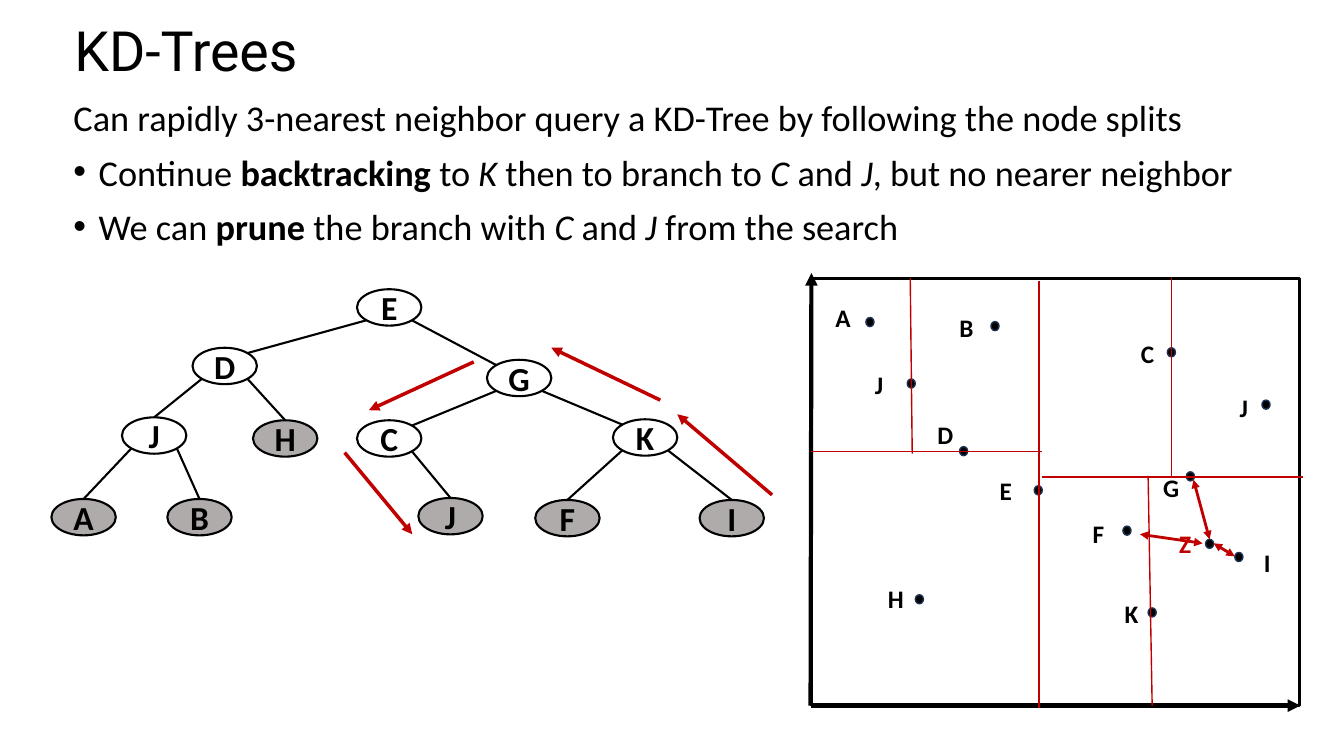
import math
import pptx
import pptx.dml.color
import pptx.enum.shapes
import pptx.enum.text
import pptx.oxml.ns
import pptx.util
from lxml import etree

Pt = pptx.util.Pt
RGB = pptx.dml.color.RGBColor
Kind = pptx.enum.shapes.MSO_SHAPE
Anchor = pptx.enum.text.MSO_ANCHOR
qn = pptx.oxml.ns.qn

BLACK = RGB(0x00, 0x00, 0x00)
RED = RGB(0xC0, 0x00, 0x00)
GRAY = RGB(0xAF, 0xAB, 0xAB)
NAVY = RGB(0x1E, 0x32, 0x56)

NODE_W, NODE_H = 46, 26
DOT_W, DOT_H = 5.8, 6.5

deck = pptx.Presentation()
deck.slide_width, deck.slide_height = Pt(960), Pt(540)
slide = deck.slides.add_slide(deck.slide_layouts[6])
shapes = slide.shapes


def add_run(para, text, size, color=BLACK, bold=False, italic=False, font="Calibri"):
    run = para.add_run()
    run.text = text
    run.font.name = font
    run.font.size = Pt(size)
    run.font.color.rgb = color
    run.font.bold = bold
    run.font.italic = italic


def draw_line(ends, color, width, tips=()):
    """Draw x1, y1, x2, y2; tips names the ends that get an arrowhead."""
    link = shapes.add_connector(
        pptx.enum.shapes.MSO_CONNECTOR.STRAIGHT, *[Pt(end) for end in ends])
    link.line.color.rgb = color
    link.line.width = Pt(width)
    stroke = link.line._get_or_add_ln()
    for tip in tips:
        etree.SubElement(stroke, qn(f"a:{tip}"), type="triangle")
    etree.SubElement(link._element.spPr, qn("a:effectLst"))


# Title and body
title = shapes.add_textbox(Pt(46), Pt(17.3), Pt(828), Pt(41.8)).text_frame
title.word_wrap = True
title.vertical_anchor = Anchor.MIDDLE
title.paragraphs[0].line_spacing = 0.9
add_run(title.paragraphs[0], "KD-Trees", 39.6, font="Roboto")

# Each part is its words and a style: "" plain, "b" bold, "i" italic
points = [
    [("Can rapidly 3-nearest neighbor query a KD-Tree by following the node splits", "")],
    [("Continue ", ""), ("backtracking", "b"), (" to ", ""), ("K", "i"),
     (" then to branch to ", ""), ("C", "i"), (" and ", ""), ("J", "i"),
     (", but no nearer neighbor", "")],
    [("We can ", ""), ("prune", "b"), (" the branch with ", ""), ("C", "i"),
     (" and ", ""), ("J", "i"), (" from the search", "")],
]
body = shapes.add_textbox(Pt(45.4), Pt(70.6), Pt(862.6), Pt(117.4)).text_frame
body.word_wrap = True
for i, parts in enumerate(points):
    para = body.add_paragraph() if i else body.paragraphs[0]
    para.line_spacing = 0.8
    if i:
        para.space_before = Pt(14)
        props = para._p.get_or_add_pPr()
        props.set("marL", str(Pt(18)))
        props.set("indent", str(Pt(-18)))
        etree.SubElement(props, qn("a:buFont"), typeface="Arial")
        etree.SubElement(props, qn("a:buChar"), char="•")
    for words, style in parts:
        add_run(para, words, 25.9, bold=style == "b", italic=style == "i")

# Tree nodes: left and top; the key starts with the letter shown
nodes = {
    "E": (255, 206.6), "D": (137.5, 248.4), "G": (347.8, 257),
    "J left": (87.1, 298.1), "H": (180.7, 300.2), "C": (255, 300.2),
    "K": (437.8, 299.5), "A": (36.7, 356.4), "B": (119.5, 356.4),
    "J right": (298.8, 355.7), "F": (382.3, 357.1), "I": (499.7, 357.1),
}
# Parent: left child, right child
tree = {
    "E": ("D", "G"), "D": ("J left", "H"), "G": ("C", "K"),
    "J left": ("A", "B"), "C": (None, "J right"), "K": ("F", "I"),
}
# Plot points: letter, dot left and top, label left and top
dots = [
    ("A", 618.5, 226.8, 589.7, 212.4), ("B", 707.8, 229.7, 678.2, 219.6),
    ("C", 833.8, 248.4, 807.8, 238.3), ("D", 685.4, 319, 662.4, 295.9),
    ("E", 738.7, 347, 707, 336.2), ("F", 802.1, 375.8, 773.3, 366.5),
    ("G", 847.4, 337, 823.7, 334.1), ("H", 653.8, 424.8, 627.1, 413.3),
    ("I", 882, 394.6, 895.7, 387.4), ("J", 901.4, 285.8, 878.4, 276.5),
    ("J", 648, 270.7, 617.8, 259.9), ("K", 820.1, 434.2, 796.3, 424.1),
    ("Z", 861.1, 385.2, 835.2, 373.7),
]

# Plot frame, dots and nodes
forms = [(Kind.RECTANGLE, 579.6, 198.7, 348.5, 305.3, None, BLACK, 2, "")]
for _, left, top, _, _ in dots:
    forms.append((Kind.OVAL, left, top, DOT_W, DOT_H, BLACK, NAVY, 1, ""))
for name, (left, top) in nodes.items():
    fill = None if name in tree else GRAY
    forms.append((Kind.OVAL, left, top, NODE_W, NODE_H, fill, BLACK, 1.5, name[0]))

for kind, left, top, width, height, fill, color, weight, letter in forms:
    form = shapes.add_shape(kind, Pt(left), Pt(top), Pt(width), Pt(height))
    form.shadow.inherit = False
    if fill is None:
        form.fill.background()
    else:
        form.fill.solid()
        form.fill.fore_color.rgb = fill
    form.line.color.rgb = color
    form.line.width = Pt(weight)
    if letter:
        frame = form.text_frame
        frame.word_wrap = True
        frame.vertical_anchor = Anchor.MIDDLE
        frame.paragraphs[0].alignment = pptx.enum.text.PP_ALIGN.CENTER
        add_run(frame.paragraphs[0], letter, 24, bold=True)

for letter, _, _, left, top in dots:
    label = shapes.add_textbox(Pt(left), Pt(top), Pt(24), Pt(29)).text_frame
    label.word_wrap = True
    add_run(label.paragraphs[0], letter, 18, RED if letter == "Z" else BLACK, bold=True)

# Tree edges leave a parent on the slant and meet a leaf row at its top
dx, dy = NODE_W / 2 * math.sqrt(0.5), NODE_H / 2 * math.sqrt(0.5)
slanted = {"D", "G", "C", "K"}
for name, children in tree.items():
    for child, side in zip(children, (-1, 1)):
        if child is None:
            continue
        x1, y1 = nodes[name][0] + NODE_W / 2, nodes[name][1] + NODE_H / 2
        x2, y2 = nodes[child][0] + NODE_W / 2, nodes[child][1]
        if child in slanted:
            x2, y2 = x2 - side * dx, y2 + NODE_H / 2 - dy
        draw_line((x1 + side * dx, y1 + dy, x2, y2), BLACK, 1.5)

# Axes
for end in [(928.8, 504), (579.6, 195)]:
    draw_line((579, 504, *end), BLACK, 3, ["tailEnd"])

# Splits of the plane
for split in [
    (742.3, 201, 742.3, 505.4), (579.6, 322.6, 744.5, 322.6),
    (744.5, 340.6, 931, 340.6), (650.2, 198.7, 651.6, 324),
    (836.6, 198, 836.6, 340), (820.1, 340, 823, 504),
]:
    draw_line(split, RED, 1)

# Search steps along the tree
for step in [
    (471.6, 285.8, 393.8, 248.4), (551.5, 353.5, 483.8, 295.9),
    (338.4, 258.5, 263.5, 293), (246.2, 323.3, 294.5, 381.6),
]:
    draw_line(step, RED, 2.5, ["tailEnd"])

# Distances from Z to its neighbors
for reach in [
    (852.5, 342.7, 864, 385.2), (882, 397.4, 866.9, 388.1),
    (814.3, 381.6, 859, 388.1),
]:
    draw_line(reach, RED, 2, ["headEnd", "tailEnd"])

deck.save("out.pptx")
